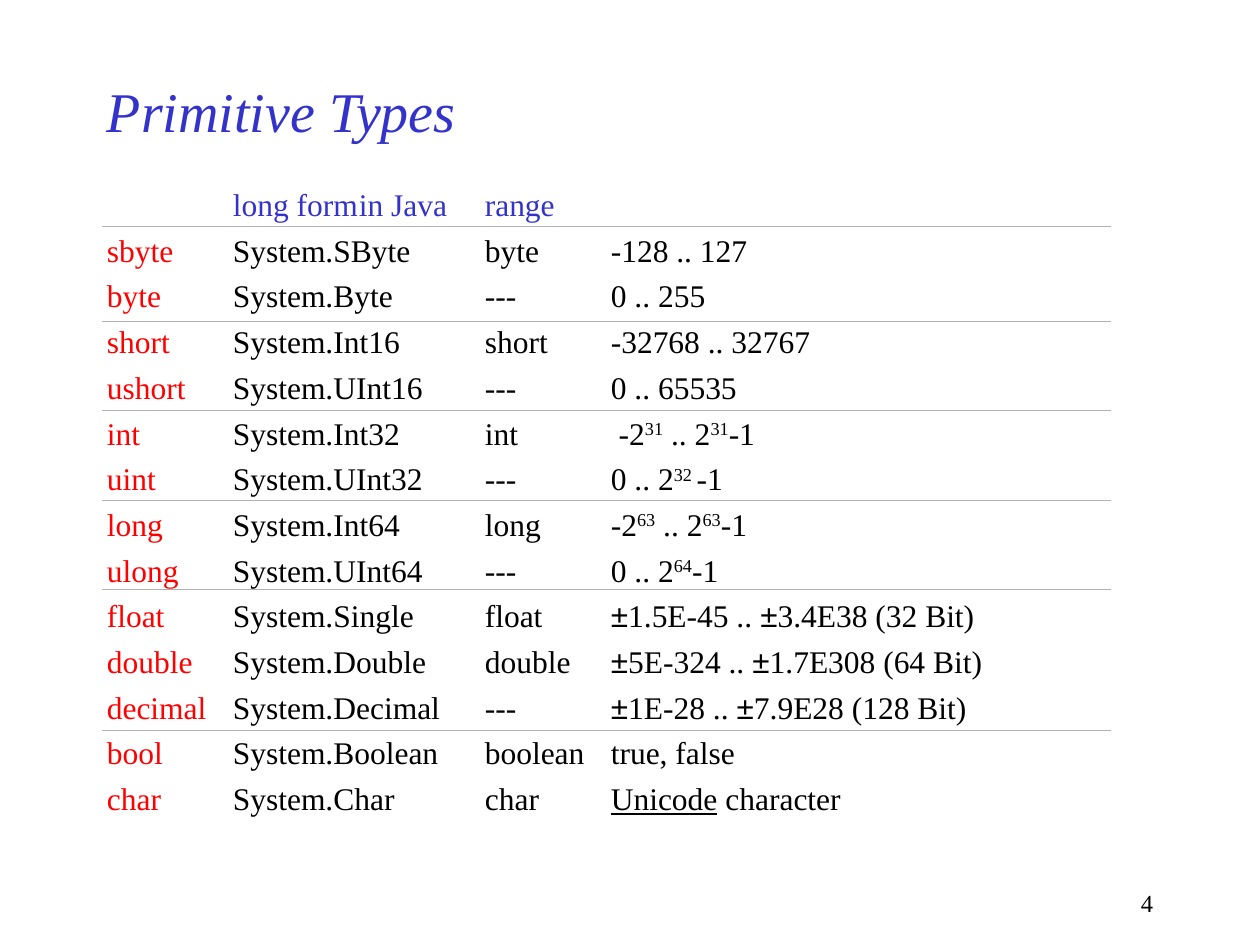
from lxml import etree
from pptx import Presentation
from pptx.dml.color import RGBColor
from pptx.enum.shapes import MSO_CONNECTOR
from pptx.enum.text import MSO_ANCHOR, PP_ALIGN
from pptx.oxml.ns import qn
from pptx.util import Inches, Pt

STRAIGHT = MSO_CONNECTOR.STRAIGHT
MIDDLE = MSO_ANCHOR.MIDDLE
RIGHT = PP_ALIGN.RIGHT

BLUE, RED, BLACK, GRAY = "3333CC", "FF0000", "000000", "B2B2B2"
SERIF = "Times New Roman"
TAB_STOPS = (1, 2, 3, 4)
RULE_HEIGHTS = (1.8, 2.55, 3.26, 3.97, 4.68, 5.8)

PLAIN = {}
POWER = {"baseline": 30000}
SYMBOL = {"name": "Arial"}
UNDERLINED = {"underline": True}


def float_range(low, high):
    return [("±", SYMBOL), (low + " .. ", PLAIN), ("±", SYMBOL), (high, PLAIN)]


def signed_range(start, exponent):
    return [(start, PLAIN), (exponent, POWER), (" .. 2", PLAIN),
            (exponent, POWER), ("-1", PLAIN)]


def unsigned_range(exponent):
    return [("0 .. 2", PLAIN), (exponent, POWER), ("-1", PLAIN)]


TYPES = (
    ("sbyte", "System.SByte", "byte", [("-128 .. 127", PLAIN)]),
    ("byte", "System.Byte", "---", [("0 .. 255", PLAIN)]),
    ("short", "System.Int16", "short", [("-32768 .. 32767", PLAIN)]),
    ("ushort", "System.UInt16", "---", [("0 .. 65535", PLAIN)]),
    ("int", "System.Int32", "int", signed_range(" -2", "31")),
    ("uint", "System.UInt32", "---", unsigned_range("32 ")),
    ("long", "System.Int64", "long", signed_range("-2", "63")),
    ("ulong", "System.UInt64", "---", unsigned_range("64")),
    ("float", "System.Single", "float", float_range("1.5E-45", "3.4E38 (32 Bit)")),
    ("double", "System.Double", "double", float_range("5E-324", "1.7E308 (64 Bit)")),
    ("decimal", "System.Decimal", "---", float_range("1E-28", "7.9E28 (128 Bit)")),
    ("bool", "System.Boolean", "boolean", [("true, false", PLAIN)]),
    ("char", "System.Char", "char", [("Unicode", UNDERLINED), (" character", PLAIN)]),
)


def color(value):
    return RGBColor.from_string(value)


def add_box(page, left, top, width, height):
    box = page.shapes.add_textbox(Inches(left), Inches(top), Inches(width), Inches(height))
    box.text_frame.word_wrap = True
    return box.text_frame


def add_span(para, text, size, fill, style=PLAIN):
    span = para.add_run()
    span.text = text
    values = {"name": SERIF, "size": Pt(size), **style}
    baseline = values.pop("baseline", None)
    for key, value in values.items():
        setattr(span.font, key, value)
    span.font.color.rgb = color(fill)
    if baseline:
        span.font._element.set("baseline", str(baseline))


def format_row(para):
    para.space_before = Pt(4.5)
    tabs = etree.SubElement(para._p.get_or_add_pPr(), qn("a:tabLst"))
    for stop in TAB_STOPS:
        etree.SubElement(tabs, qn("a:tab"), pos=str(Inches(stop)), algn="l")


def add_type_list(page):
    frame = add_box(page, 0.75, 1.42, 8.5, 5.5)
    header = frame.paragraphs[0]
    format_row(header)
    add_span(header, "\tlong form\tin Java\trange", 18, BLUE)
    for keyword, long_form, java, value_range in TYPES:
        para = frame.add_paragraph()
        format_row(para)
        add_span(para, keyword + "\t", 18, RED)
        add_span(para, f"{long_form}\t{java}\t", 18, BLACK)
        for text, style in value_range:
            add_span(para, text, 18, BLACK, style)


def add_rule(page, height):
    rule = page.shapes.add_connector(
        STRAIGHT, Inches(0.81), Inches(height), Inches(8.82), Inches(height))
    rule.line.color.rgb = color(GRAY)
    rule.line.width = Pt(0.75)
    etree.SubElement(rule._element.spPr, qn("a:effectLst"))


def main():
    deck = Presentation()
    deck.slide_width, deck.slide_height = Inches(10), Inches(7.5)
    page = deck.slides.add_slide(deck.slide_layouts[6])

    title = add_box(page, 0.75, 0.5, 7.5, 0.75)
    title.vertical_anchor = MIDDLE
    add_span(title.paragraphs[0], "Primitive Types", 32, BLUE, {"italic": True})

    add_type_list(page)
    for height in RULE_HEIGHTS:
        add_rule(page, height)

    number = add_box(page, 7.17, 7, 2.08, 0.33).paragraphs[0]
    number.alignment = RIGHT
    add_span(number, "4", 14, BLACK)

    deck.save("out.pptx")


if __name__ == "__main__":
    main()
